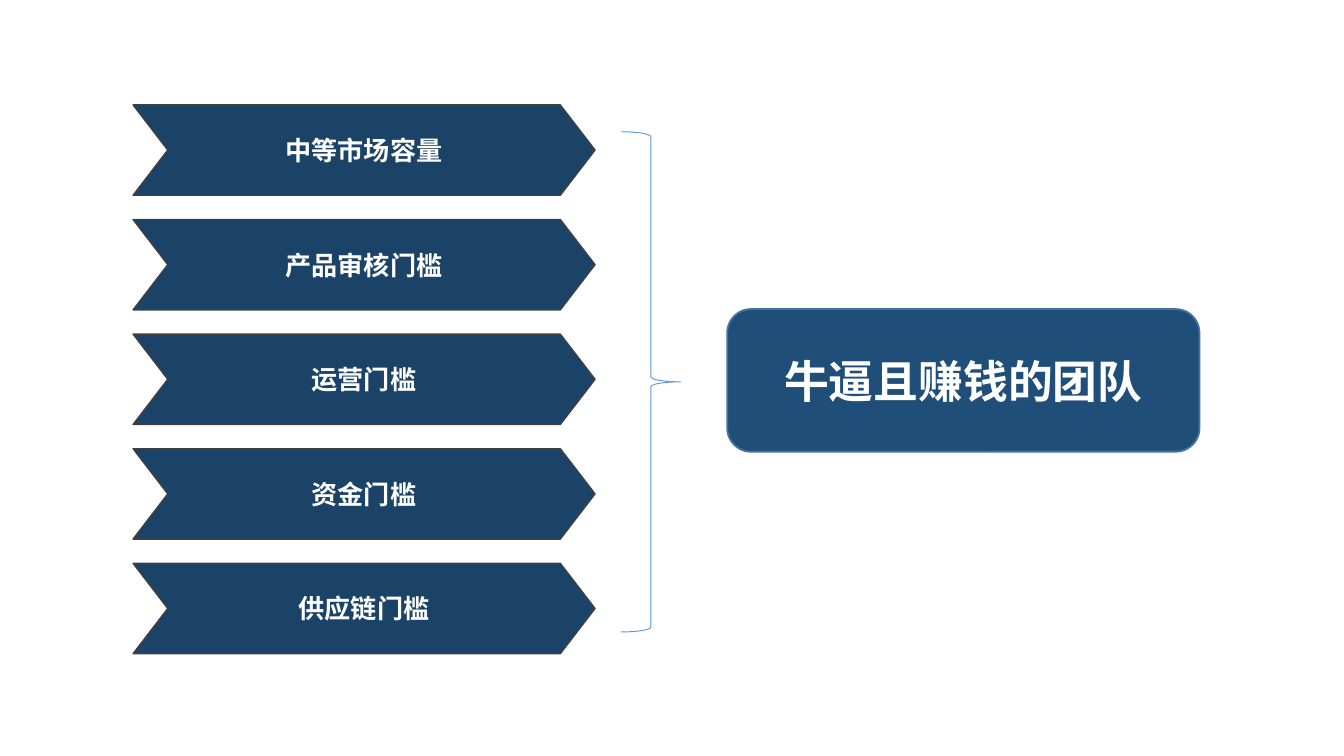
from lxml import etree
from pptx import Presentation
from pptx.dml.color import RGBColor
from pptx.enum.shapes import MSO_SHAPE
from pptx.enum.text import MSO_ANCHOR, PP_ALIGN
from pptx.oxml.ns import qn
from pptx.util import Pt

CHEVRON = MSO_SHAPE.CHEVRON
BRACE = MSO_SHAPE.RIGHT_BRACE
ROUNDED = MSO_SHAPE.ROUNDED_RECTANGLE
MIDDLE = MSO_ANCHOR.MIDDLE
CENTER = PP_ALIGN.CENTER

FONT = "Noto Sans CJK SC"
COLORS = {
    "barrier": "1B4367",
    "barrier_edge": "404040",
    "brace": "5B9BD5",
    "team": "1F4E79",
    "team_edge": "43739E",
    "text": "FFFFFF",
}

BARRIERS = ["中等市场容量", "产品审核门槛", "运营门槛", "资金门槛", "供应链门槛"]
BARRIER_TOP = 56.2
BARRIER_PITCH = 61.4


def color(name):
    return RGBColor.from_string(COLORS[name])


def add_outline(slide, kind, box, edge, weight, fill=None):
    """Add a preset shape; box is left, top, width, height in points."""
    shape = slide.shapes.add_shape(kind, *(Pt(length) for length in box))
    shape.shadow.inherit = False
    if fill:
        shape.fill.solid()
        shape.fill.fore_color.rgb = color(fill)
    else:
        shape.fill.background()
    shape.line.color.rgb = color(edge)
    shape.line.width = Pt(weight)
    return shape


def write(shape, text, size, margins=(7.2, 3.6)):
    """Put bold centred text into a shape."""
    frame = shape.text_frame
    frame.word_wrap = True
    frame.vertical_anchor = MIDDLE
    frame.margin_left = frame.margin_right = Pt(margins[0])
    frame.margin_top = frame.margin_bottom = Pt(margins[1])
    paragraph = frame.paragraphs[0]
    paragraph.alignment = CENTER
    run = paragraph.add_run()
    run.text = text
    run.font.size = Pt(size)
    run.font.bold = True
    run.font.color.rgb = color("text")
    run.font.name = FONT
    # Chinese characters take the East Asian typeface
    east_asian = etree.SubElement(run.font._element, qn("a:ea"))
    east_asian.set("typeface", FONT)


def add_barrier(slide, text, top):
    barrier = add_outline(slide, CHEVRON, (71.3, top, 247.5, 48.4),
                          "barrier_edge", 0.75, "barrier")
    barrier.adjustments[0] = 0.384
    write(barrier, text, 14, margins=(5, 2.7))


def main():
    deck = Presentation()
    deck.slide_width, deck.slide_height = Pt(720), Pt(405)
    slide = deck.slides.add_slide(deck.slide_layouts[6])

    # Barriers, evenly stacked on the left
    for row, text in enumerate(BARRIERS):
        add_barrier(slide, text, BARRIER_TOP + row * BARRIER_PITCH)

    # Brace gathering the barriers
    add_outline(slide, BRACE, (332.8, 70.6, 31.8, 268), "brace", 0.5)

    # The team they lead to
    team = add_outline(slide, ROUNDED, (389.6, 165.6, 253, 76.4),
                       "team_edge", 1, "team")
    write(team, "牛逼且赚钱的团队", 24)

    deck.save("out.pptx")


if __name__ == "__main__":
    main()
